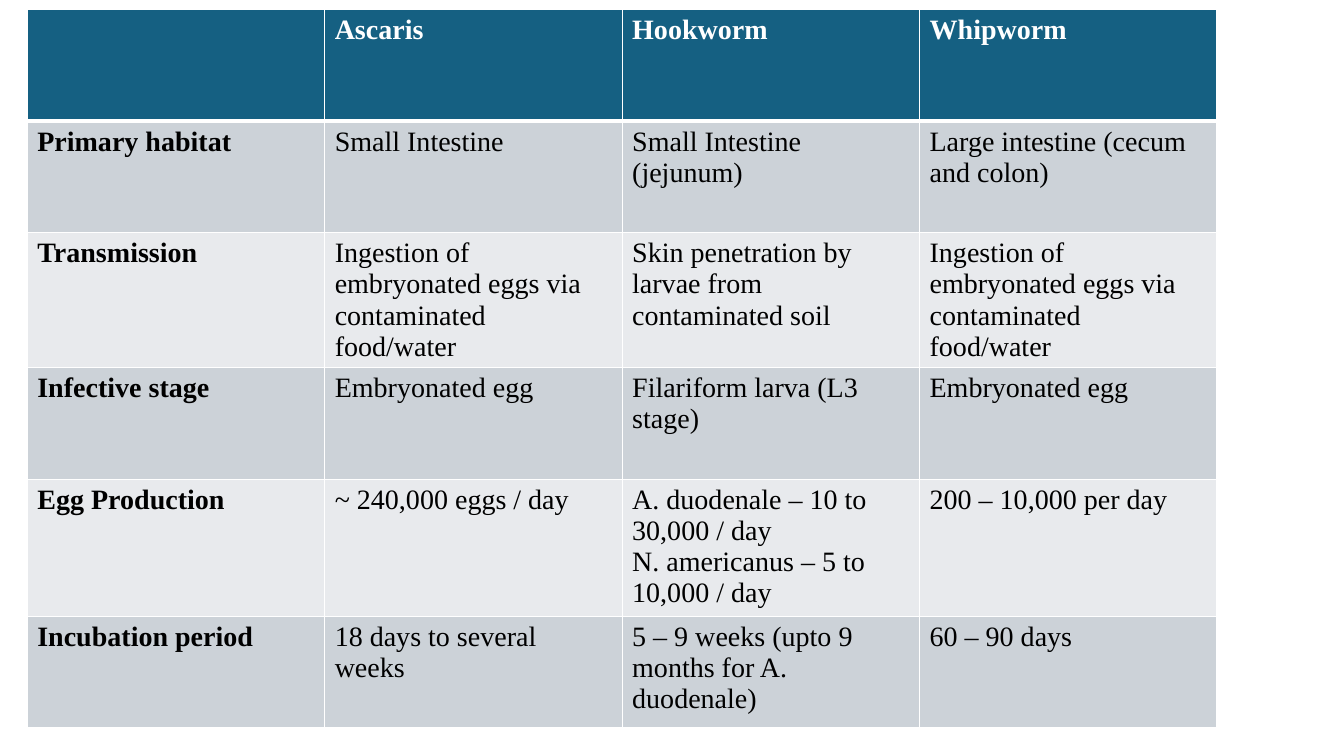
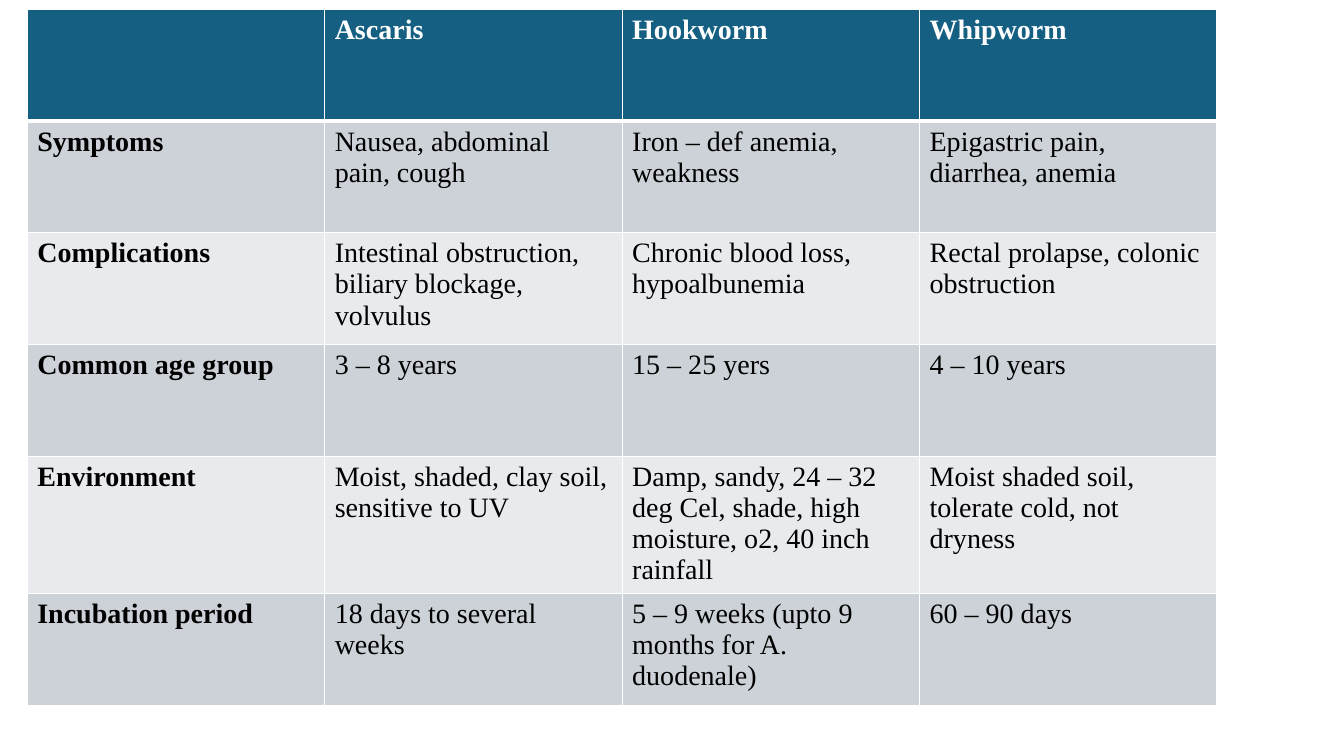
from dataclasses import dataclass

from lxml.etree import SubElement
from pptx import Presentation
from pptx.dml.color import RGBColor as Rgb
from pptx.oxml.ns import qn
from pptx.util import Pt

HEAD = ("", "Ascaris", "Hookworm", "Whipworm")
INCUBATION = ("Incubation period", "18 days to several weeks",
              "5 – 9 weeks (upto 9 months for A. duodenale)", "60 – 90 days")
EGGS = "Ingestion of embryonated eggs via contaminated food/water"

SLIDES = [
    [
        HEAD,
        ("Primary habitat", "Small Intestine", "Small Intestine (jejunum)",
         "Large intestine (cecum and colon)"),
        ("Transmission", EGGS,
         "Skin penetration by larvae from contaminated soil", EGGS),
        ("Infective stage", "Embryonated egg", "Filariform larva (L3 stage)",
         "Embryonated egg"),
        ("Egg Production", "~ 240,000 eggs / day",
         "A. duodenale – 10 to 30,000 / day\nN. americanus – 5 to 10,000 / day",
         "200 – 10,000 per day"),
        INCUBATION,
    ],
    [
        HEAD,
        ("Symptoms", "Nausea, abdominal pain, cough",
         "Iron – def anemia, weakness", "Epigastric pain, diarrhea, anemia"),
        ("Complications", "Intestinal obstruction, biliary blockage, volvulus",
         "Chronic blood loss, hypoalbunemia",
         "Rectal prolapse, colonic obstruction"),
        ("Common age group", "3 – 8 years", "15 – 25 yers", "4 – 10 years"),
        ("Environment", "Moist, shaded, clay soil, sensitive to UV",
         "Damp, sandy, 24 – 32 deg Cel, shade, high moisture, o2, "
         "40 inch rainfall",
         "Moist shaded soil, tolerate cold, not dryness"),
        INCUBATION,
    ],
]

PX = 9144  # EMU in one px, 100 px to the inch
WIDE, HIGH = 1333, 750
LEFT, TOP, COL = 27, 9, 295
ROWS = (111, 111, 111, 111, 136, 111)


@dataclass(frozen=True)
class Theme:
    font: str = "Times New Roman"
    size: int = 20
    ink: str = "000000"
    white: str = "FFFFFF"
    head: str = "156082"
    bands: tuple = ("E8EAED", "CCD2D8")
    thin: int = 1
    thick: int = 3


THEME = Theme()


def write(frame, text, color=THEME.ink, bold=False):
    frame.text = text
    for para in frame.paragraphs:
        font = para.font
        for run in para.runs:
            font = run.font
        font.name, font.size, font.bold = THEME.font, Pt(THEME.size), bold
        font.color.rgb = Rgb.from_string(color)


def edge(cell, row):
    """Draw the four borders, heavier between the header and the body."""
    props = cell._tc.get_or_add_tcPr()
    heavy = {(0, "lnB"), (1, "lnT")}
    for side in ("lnL", "lnR", "lnT", "lnB"):
        width = THEME.thick if (row, side) in heavy else THEME.thin
        line = SubElement(props, qn(f"a:{side}"), w=str(Pt(width)))
        fill = SubElement(line, qn("a:solidFill"))
        SubElement(fill, qn("a:srgbClr"), val=THEME.white)


def grid(slide, data):
    cols = len(HEAD)
    table = slide.shapes.add_table(
        len(data), cols, LEFT * PX, TOP * PX,
        cols * COL * PX, sum(ROWS) * PX).table
    for col in table.columns:
        col.width = COL * PX
    for r, texts in enumerate(data):
        table.rows[r].height = ROWS[r] * PX
        for c, text in enumerate(texts):
            cell = table.cell(r, c)
            edge(cell, r)
            cell.fill.solid()
            cell.fill.fore_color.rgb = Rgb.from_string(
                THEME.bands[r % 2] if r else THEME.head)
            write(cell.text_frame, text, bold=r == 0 or c == 0,
                  color=THEME.ink if r else THEME.white)


def main():
    deck = Presentation()
    deck.slide_width, deck.slide_height = WIDE * PX, HIGH * PX
    for data in SLIDES:
        grid(deck.slides.add_slide(deck.slide_layouts[6]), data)
    deck.save("out.pptx")


if __name__ == "__main__":
    main()
